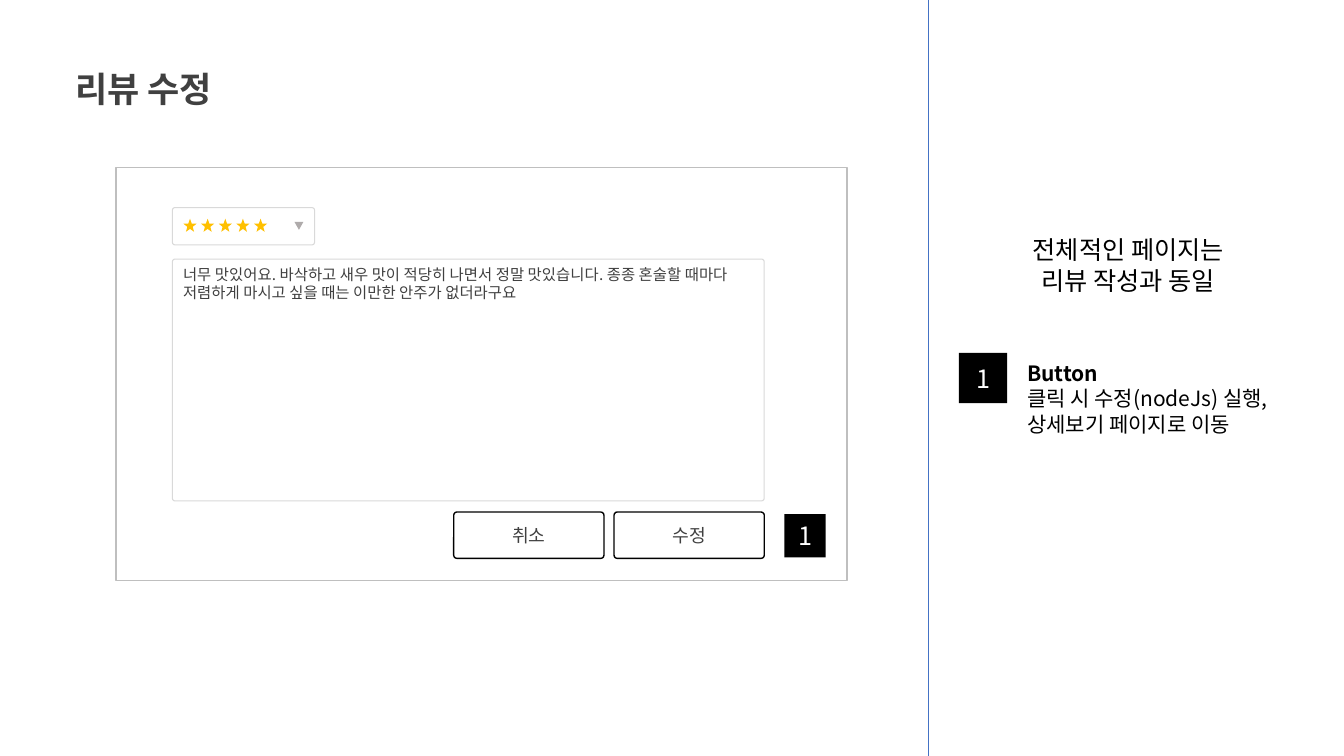
from lxml import etree
from pptx import Presentation
from pptx.dml.color import RGBColor
from pptx.enum.shapes import MSO_CONNECTOR, MSO_SHAPE
from pptx.enum.text import MSO_ANCHOR, MSO_AUTO_SIZE, PP_ALIGN
from pptx.oxml.ns import qn
from pptx.util import Inches, Pt

RECT = MSO_SHAPE.RECTANGLE
ROUND = MSO_SHAPE.ROUNDED_RECTANGLE
STAR = MSO_SHAPE.STAR_5_POINT
TRIANGLE = MSO_SHAPE.ISOSCELES_TRIANGLE
STRAIGHT = MSO_CONNECTOR.STRAIGHT
TOP, MIDDLE = MSO_ANCHOR.TOP, MSO_ANCHOR.MIDDLE
LEFT, CENTER = PP_ALIGN.LEFT, PP_ALIGN.CENTER
FIT = MSO_AUTO_SIZE.SHAPE_TO_FIT_TEXT

FONT = "Noto Sans CJK KR"
BLACK, WHITE, GRAY = "000000", "FFFFFF", "404040"

prs = Presentation()
prs.slide_width, prs.slide_height = Inches(13.33), Inches(7.5)
s = prs.slides.add_slide(prs.slide_layouts[6])


def add_box(kind, x, y, w, h, fill, line=None, width=1, radius=None):
    sp = s.shapes.add_shape(kind, Inches(x), Inches(y), Inches(w), Inches(h))
    sp.shadow.inherit = False
    sp.fill.solid()
    sp.fill.fore_color.rgb = RGBColor.from_string(fill)
    if line:
        sp.line.color.rgb = RGBColor.from_string(line)
        sp.line.width = Pt(width)
    else:
        sp.line.fill.background()
    if radius is not None:
        sp.adjustments[0] = radius
    return sp


def write(sp, lines, size, color, align=LEFT, anchor=TOP, bold_first=False, wrap=True):
    """Fill a shape with one paragraph per line, in the slide's font."""
    tf = sp.text_frame
    tf.word_wrap = wrap
    tf.vertical_anchor = anchor
    tf.text = "\n".join(lines)
    for i, p in enumerate(tf.paragraphs):
        p.alignment = align
        p.font.size = Pt(size)
        p.font.bold = bold_first and i == 0
        p.font.color.rgb = RGBColor.from_string(color)
        p.font.name = FONT
        # Korean glyphs take the East Asian typeface
        props = p._p.get_or_add_pPr().find(qn("a:defRPr"))
        etree.SubElement(props, qn("a:ea"), typeface=FONT)


# Review form
add_box(RECT, 1.15, 1.66, 7.25, 4.1, WHITE, "BFBFBF")
review = add_box(ROUND, 1.71, 2.57, 5.87, 2.4, WHITE, "D9D9D9", 0.75, 0.011)
write(review, ["너무 맛있어요. 바삭하고 새우 맛이 적당히 나면서 정말 맛있습니다. "
               "종종 혼술할 때마다 저렴하게 마시고 싶을 때는 이만한 안주가 없더라구요"], 11, GRAY)

# Star rating drop-down
add_box(ROUND, 1.71, 2.06, 1.41, 0.37, WHITE, "D9D9D9", 0.75, 0.069)
for i in range(5):
    add_box(STAR, 1.82 + 0.175 * i, 2.17, 0.13, 0.13, "FFC000", radius=0.207)
arrow = add_box(TRIANGLE, 2.92, 2.2, 0.09, 0.08, "AFABAB")
arrow.rotation = 180

# Form buttons
for x, label in [(4.5, "취소"), (6.09, "수정")]:
    button = add_box(ROUND, x, 5.08, 1.49, 0.46, WHITE, BLACK, 1, 0.069)
    write(button, [label], 13, GRAY, CENTER, MIDDLE)

# Number markers on the form and beside its description
for x, y, w, h in [(7.78, 5.1, 0.41, 0.43), (9.51, 3.5, 0.48, 0.5)]:
    marker = add_box(RECT, x, y, w, h, BLACK)
    write(marker, ["1"], 18, WHITE, CENTER, MIDDLE)

# Divider
divider = s.shapes.add_connector(STRAIGHT, Inches(9.21), 0, Inches(9.21), prs.slide_height)
divider.line.color.rgb = RGBColor.from_string("4472C4")
divider.line.width = Pt(0.5)
etree.SubElement(divider._element.spPr, qn("a:effectLst"))

# Title and descriptions
texts = [
    (0.65, 0.62, 1.73, 0.52, ["리뷰 수정"], 25, GRAY, LEFT, True, False),
    (9.99, 2.28, 2.4, 0.71, ["전체적인 페이지는", "리뷰 작성과 동일"], 18, BLACK, CENTER, False, False),
    (10.09, 3.53, 2.92, 0.86, ["Button", "클릭 시 수정(nodeJs) 실행, 상세보기 페이지로 이동"],
     15, BLACK, LEFT, True, True),
]
for x, y, w, h, lines, size, color, align, bold_first, wrap in texts:
    sp = s.shapes.add_textbox(Inches(x), Inches(y), Inches(w), Inches(h))
    write(sp, lines, size, color, align, TOP, bold_first, wrap)
    sp.text_frame.auto_size = FIT

prs.save("out.pptx")
